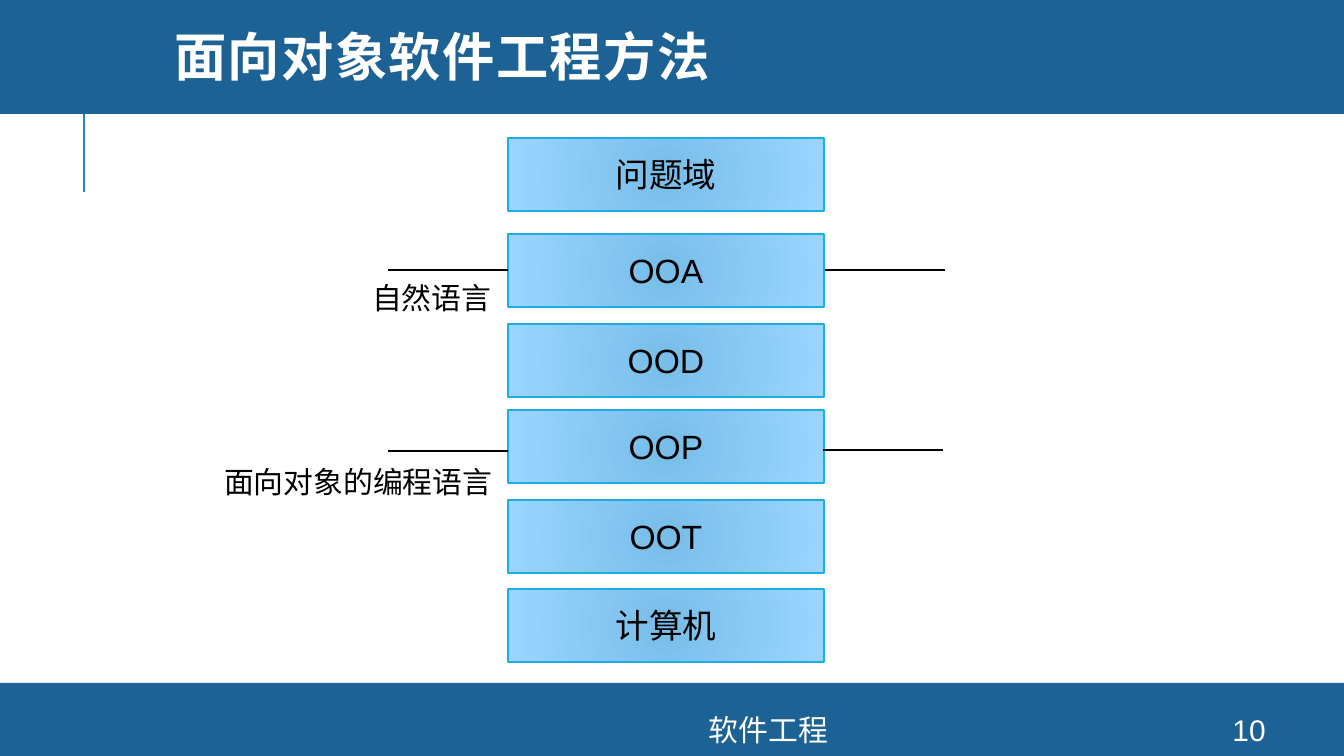
import pptx
import pptx.util
from lxml import etree
from pptx.dml.color import RGBColor
from pptx.enum.shapes import MSO_CONNECTOR, MSO_SHAPE
from pptx.enum.text import MSO_ANCHOR, PP_ALIGN
from pptx.oxml.ns import qn

# Content: lengths in px
W, H = 1344, 756
BANDS = [(0, 683, W, 73), (0, -4, W, 118)]
TITLE = ("面向对象软件工程方法", (161, 0, 1141, 122))
LAYER_X, LAYER_W, LAYER_H = 508, 316, 73
LAYERS = [("问题域", 138), ("OOA", 234), ("OOD", 324),
          ("OOP", 410), ("OOT", 500), ("计算机", 589)]
LABELS = [("自然语言", (359, 273, 148, 50)),
          ("面向对象的编程语言", (211, 457, 297, 50))]
FOOTERS = [("软件工程", (351, 714, 835, 31)),
           ("10", (1195, 714, 108, 31))]
TICK_LINES = [(388, 270, 508, 270), (825, 270, 945, 270),
              (388, 451, 508, 451), (823, 450, 943, 450)]
ACCENT_LINE = (84, 192, 84, 91)

THEME = {
    "band": "1D6294", "accent": "2683C6", "edge": "1CADE4",
    "glow": ("78BEE9", "9AD5FF"), "ink": "000000", "light": "FFFFFF",
    "head_font": "Montserrat", "font": "Arial",
    "title": 28, "layer": 18, "label": 16, "thin": 0.75, "thick": 1.5,
}
SCALE = 9144000 / W


def px(*values):
    return [pptx.util.Emu(round(v * SCALE)) for v in values]


def rgb(name):
    return RGBColor.from_string(THEME.get(name, name))


def write(sp, text, size, color, align=PP_ALIGN.LEFT,
          anchor=MSO_ANCHOR.TOP, font="font"):
    tf = sp.text_frame
    tf.text = text
    tf.word_wrap = True
    tf.vertical_anchor = anchor
    p = tf.paragraphs[0]
    p.alignment = align
    r = p.runs[0]
    r.font.name = THEME[font]
    r.font.size = pptx.util.Pt(THEME[size])
    r.font.color.rgb = rgb(color)
    return p


def add_line(s, ends, color, width):
    line = s.shapes.add_connector(MSO_CONNECTOR.STRAIGHT, *px(*ends))
    line.line.color.rgb = rgb(color)
    line.line.width = pptx.util.Pt(THEME[width])
    etree.SubElement(line._element.spPr, qn("a:effectLst"))


def add_rect(s, box):
    sp = s.shapes.add_shape(MSO_SHAPE.RECTANGLE, *px(*box))
    sp.shadow.inherit = False
    return sp


def radial_fill(sp):
    sp.fill.gradient()
    for stop, color in zip(sp.fill.gradient_stops, THEME["glow"]):
        stop.color.rgb = rgb(color)
    lin = sp._element.spPr.find(".//" + qn("a:lin"))
    path = etree.Element(qn("a:path"), path="circle")
    etree.SubElement(path, qn("a:fillToRect"),
                     **{side: "50000" for side in "ltrb"})
    lin.getparent().replace(lin, path)


prs = pptx.Presentation()
prs.slide_width, prs.slide_height = px(W, H)
s = prs.slides.add_slide(prs.slide_layouts[6])

# Frame
add_line(s, ACCENT_LINE, "accent", "thick")
for box in BANDS:
    sp = add_rect(s, box)
    sp.fill.solid()
    sp.fill.fore_color.rgb = rgb("band")
    sp.line.fill.background()

# Title
text, box = TITLE
p = write(s.shapes.add_textbox(*px(*box)), text, "title", "light",
          anchor=MSO_ANCHOR.MIDDLE, font="head_font")
p.line_spacing = 0.8
p.runs[0].font.bold = True
p.runs[0].font._element.set("spc", "80")

# Layer stack
for text, top in LAYERS:
    sp = add_rect(s, (LAYER_X, top, LAYER_W, LAYER_H))
    radial_fill(sp)
    sp.line.color.rgb = rgb("edge")
    sp.line.width = pptx.util.Pt(THEME["thin"])
    tf = sp.text_frame
    tf.margin_left, tf.margin_right, tf.margin_top, tf.margin_bottom = px(9, 9, 5, 5)
    write(sp, text, "layer", "ink", PP_ALIGN.CENTER, MSO_ANCHOR.MIDDLE)

# Language boundaries
for ends in TICK_LINES:
    add_line(s, ends, "ink", "thin")
for text, box in LABELS:
    write(s.shapes.add_textbox(*px(*box)), text, "label", "ink")

# Footer
for text, box in FOOTERS:
    write(s.shapes.add_textbox(*px(*box)), text, "label", "light",
          PP_ALIGN.CENTER, MSO_ANCHOR.MIDDLE)

prs.save("out.pptx")
